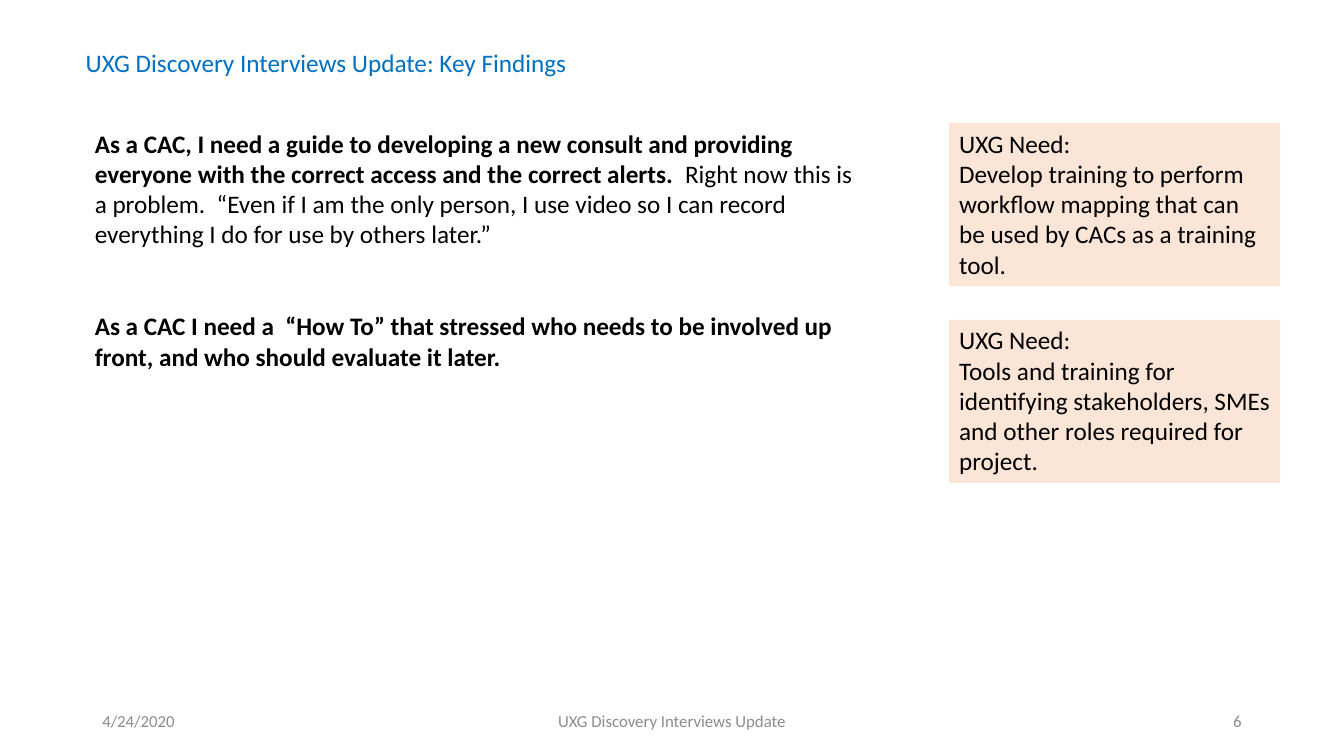
from pptx import Presentation
from pptx.dml.color import RGBColor
from pptx.enum.shapes import MSO_SHAPE
from pptx.enum.text import MSO_ANCHOR, MSO_AUTO_SIZE, PP_ALIGN
from pptx.util import Pt
from lxml.etree import SubElement
from pptx.oxml.ns import qn

HUES = {"title": "0070C0", "text": "000000", "foot": "8C8C8C", "need": "FBE5D6"}


def write(shape, paras, size=18, hue="text", align=PP_ALIGN.LEFT, anchor=MSO_ANCHOR.TOP, gap=0):
    frame = shape.text_frame
    frame.word_wrap = True
    frame.auto_size = MSO_AUTO_SIZE.NONE
    frame.vertical_anchor = anchor
    for i, runs in enumerate(paras):
        para = frame.add_paragraph() if i else frame.paragraphs[0]
        props = para._p.get_or_add_pPr()
        props.set("marL", "0")
        props.set("indent", "0")
        SubElement(props, qn("a:buNone"))
        para.alignment = align
        para.space_before = Pt(gap if i else 0)
        for text, bold in runs:
            run = para.add_run()
            run.text = text
            run.font.name = "Calibri"
            run.font.size = Pt(size)
            run.font.bold = bold
            run.font.color.rgb = RGBColor.from_string(HUES[hue])


def place(shape, left, top, width, height):
    shape.left, shape.top = Pt(left), Pt(top)
    shape.width, shape.height = Pt(width), Pt(height)


deck = Presentation()
deck.slide_width, deck.slide_height = Pt(960), Pt(540)
slide = deck.slides.add_slide(deck.slide_layouts[1])
shapes = slide.shapes

title = shapes.title
place(title, 54, 30.24, 848, 29)
write(title, [[("UXG Discovery Interviews Update: Key Findings", False)]], hue="title")

body = slide.placeholders[1]
place(body, 60.5, 87.84, 564.5, 247)
write(body, [
    [("As a CAC, I need a guide to developing a new consult and providing everyone "
      "with the correct access and the correct alerts.  ", True),
     ("Right now this is a problem.  “Even if I am the only person, I use video so I can "
      "record everything I do for use by others later.”", False)],
    [("As a CAC I need a  “How To” that stressed who needs to be involved up front, "
      "and who should evaluate it later.", True)],
], gap=44)

needs = [
    "Develop training to perform workflow mapping that can be used by CACs as a training tool.",
    "Tools and training for identifying stakeholders, SMEs and other roles required for project.",
]
for i, need in enumerate(needs):
    card = shapes.add_shape(MSO_SHAPE.RECTANGLE, Pt(678), Pt(87.84 + i * 140.6), Pt(236.5), Pt(116.5))
    card.shadow.inherit = False
    card.fill.solid()
    card.fill.fore_color.rgb = RGBColor.from_string(HUES["need"])
    card.line.fill.background()
    write(card, [[("UXG Need:", False)], [(need, False)]])

feet = [
    ("4/24/2020", 66, 216, PP_ALIGN.LEFT),
    ("UXG Discovery Interviews Update", 318, 324, PP_ALIGN.CENTER),
    ("6", 678, 216, PP_ALIGN.RIGHT),
]
for text, left, width, align in feet:
    foot = shapes.add_textbox(Pt(left), Pt(500.5), Pt(width), Pt(28.75))
    write(foot, [[(text, False)]], size=12, hue="foot", align=align, anchor=MSO_ANCHOR.MIDDLE)

deck.save("out.pptx")
